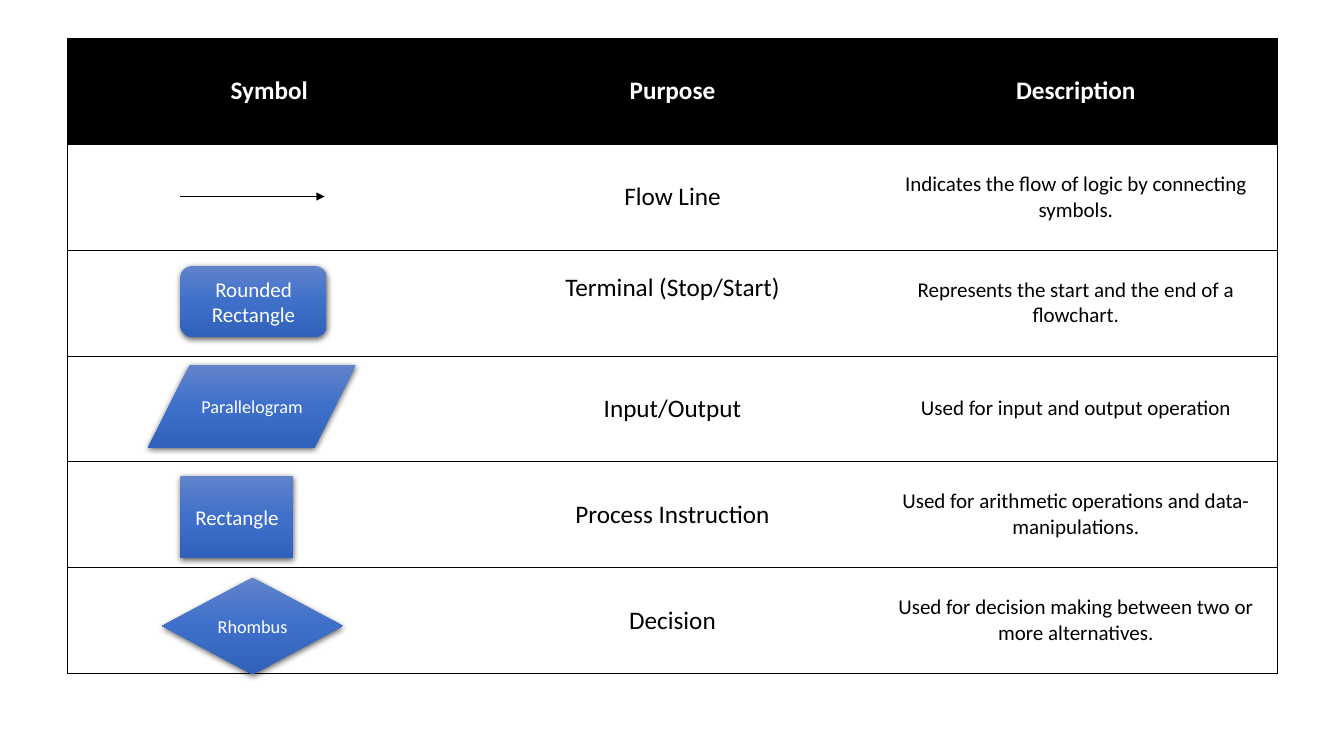
from copy import deepcopy

from pptx import Presentation
from pptx.dml.color import RGBColor
from pptx.enum.shapes import MSO_CONNECTOR, MSO_SHAPE
from pptx.enum.text import MSO_ANCHOR, PP_ALIGN
from pptx.oxml import parse_xml
from pptx.oxml.ns import nsdecls, qn
from pptx.util import Inches, Pt

STRAIGHT = MSO_CONNECTOR.STRAIGHT
ROUNDED = MSO_SHAPE.ROUNDED_RECTANGLE
RECTANGLE = MSO_SHAPE.RECTANGLE
DIAMOND = MSO_SHAPE.DIAMOND
PARALLELOGRAM = MSO_SHAPE.FLOWCHART_DATA
MIDDLE = MSO_ANCHOR.MIDDLE
CENTER = PP_ALIGN.CENTER

FONT = "Calibri"
COLORS = {
    "black": "000000",
    "white": "FFFFFF",
    "blue_top": "6183CB",
    "blue_middle": "3E70CA",
    "blue_bottom": "3062BB",
}
GRADIENT = [(0, "blue_top"), (0.5, "blue_middle"), (1, "blue_bottom")]

HEADINGS = ["Symbol", "Purpose", "Description"]
ROWS = [
    HEADINGS,
    ["", "Flow Line", "Indicates the flow of logic by connecting symbols."],
    ["", "Terminal (Stop/Start)", "Represents the start and the end of a flowchart."],
    ["", "Input/Output", "Used for input and output operation"],
    ["", "Process Instruction", "Used for arithmetic operations and data-manipulations."],
    ["", "Decision", "Used for decision making between two or more alternatives."],
]
TERMINAL_ROW = 2
SYMBOLS = [
    (ROUNDED, 1.79, 2.64, 1.45, 0.7, "Rounded Rectangle", 15),
    (RECTANGLE, 1.79, 4.72, 1.12, 0.82, "Rectangle", 15),
    (DIAMOND, 1.61, 5.73, 1.79, 0.96, "Rhombus", 13),
    (PARALLELOGRAM, 1.47, 3.62, 2.06, 0.82, "Parallelogram", 13),
]


def rgb(name):
    return RGBColor.from_string(COLORS[name])


class SlideBuilder:
    def __init__(self, slide):
        self.slide = slide

    def format_text(self, text_frame, size, color, bold=False):
        for paragraph in text_frame.paragraphs:
            paragraph.alignment = CENTER
            for run in paragraph.runs:
                run.font.name = FONT
                run.font.size = Pt(size)
                run.font.bold = bold
                run.font.color.rgb = rgb(color)

    def add_borders(self, cell, visible):
        """Draw the visible edges of a cell and hide the others."""
        properties = cell._tc.get_or_add_tcPr()
        for edge in "LRTB":
            paint = "<a:noFill/>"
            if edge in visible:
                paint = f'<a:solidFill><a:srgbClr val="{COLORS["black"]}"/></a:solidFill>'
            properties.append(parse_xml(
                f'<a:ln{edge} {nsdecls("a")} w="{Pt(0.5)}">{paint}</a:ln{edge}>'))

    def add_table(self, rows, left, top, column_width, row_height):
        row_count, column_count = len(rows), len(rows[0])
        table = self.slide.shapes.add_table(
            row_count, column_count, Inches(left), Inches(top),
            Inches(column_width * column_count), Inches(row_height * row_count)).table
        for column in table.columns:
            column.width = Inches(column_width)
        for row_index, texts in enumerate(rows):
            table.rows[row_index].height = Inches(row_height)
            is_header = row_index == 0
            for column_index, text in enumerate(texts):
                cell = table.cell(row_index, column_index)
                edges = {0: "LTB", column_count - 1: "RTB"}.get(column_index, "TB")
                self.add_borders(cell, edges)
                if is_header:
                    cell.fill.solid()
                    cell.fill.fore_color.rgb = rgb("black")
                else:
                    cell.fill.background()
                cell.vertical_anchor = MIDDLE
                cell.text_frame.text = text
                size = 15 if column_index == 2 and not is_header else 18
                self.format_text(cell.text_frame, size,
                                 "white" if is_header else "black", is_header)
        return table

    def add_symbol(self, kind, left, top, width, height, text, size):
        shape = self.slide.shapes.add_shape(
            kind, Inches(left), Inches(top), Inches(width), Inches(height))
        shape.fill.gradient()
        shape.fill.gradient_angle = 270
        properties = shape._element.spPr
        stop_list = properties.find(".//" + qn("a:gsLst"))
        stop_list.append(deepcopy(stop_list[0]))
        for stop, (position, color) in zip(shape.fill.gradient_stops, GRADIENT):
            stop.position = position
            stop.color.rgb = rgb(color)
        shape.line.fill.background()
        properties.append(parse_xml(
            f'<a:effectLst {nsdecls("a")}>'
            f'<a:outerShdw blurRad="{Pt(4.5)}" dist="{Pt(1.5)}" dir="5400000"'
            ' algn="ctr" rotWithShape="0">'
            f'<a:srgbClr val="{COLORS["black"]}"><a:alpha val="63000"/></a:srgbClr>'
            '</a:outerShdw></a:effectLst>'))
        shape.text_frame.text = text
        shape.text_frame.word_wrap = True
        shape.text_frame.vertical_anchor = MIDDLE
        self.format_text(shape.text_frame, size, "white")

    def add_arrow(self, start_x, start_y, end_x, end_y):
        arrow = self.slide.shapes.add_connector(
            STRAIGHT, Inches(start_x), Inches(start_y), Inches(end_x), Inches(end_y))
        arrow.line.color.rgb = rgb("black")
        arrow.line.width = Pt(1)
        arrow.line._get_or_add_ln().append(
            parse_xml(f'<a:tailEnd {nsdecls("a")} type="triangle"/>'))
        arrow._element.spPr.append(parse_xml(f'<a:effectLst {nsdecls("a")}/>'))


def main():
    presentation = Presentation()
    presentation.slide_width = Inches(13.33)
    presentation.slide_height = Inches(7.5)
    builder = SlideBuilder(presentation.slides.add_slide(presentation.slide_layouts[6]))

    table = builder.add_table(ROWS, left=0.67, top=0.38, column_width=4, row_height=1.05)
    table.cell(TERMINAL_ROW, 1).margin_bottom = Inches(0.34)
    for symbol in SYMBOLS:
        builder.add_symbol(*symbol)
    builder.add_arrow(1.79, 1.95, 3.22, 1.95)

    presentation.save("out.pptx")


if __name__ == "__main__":
    main()
